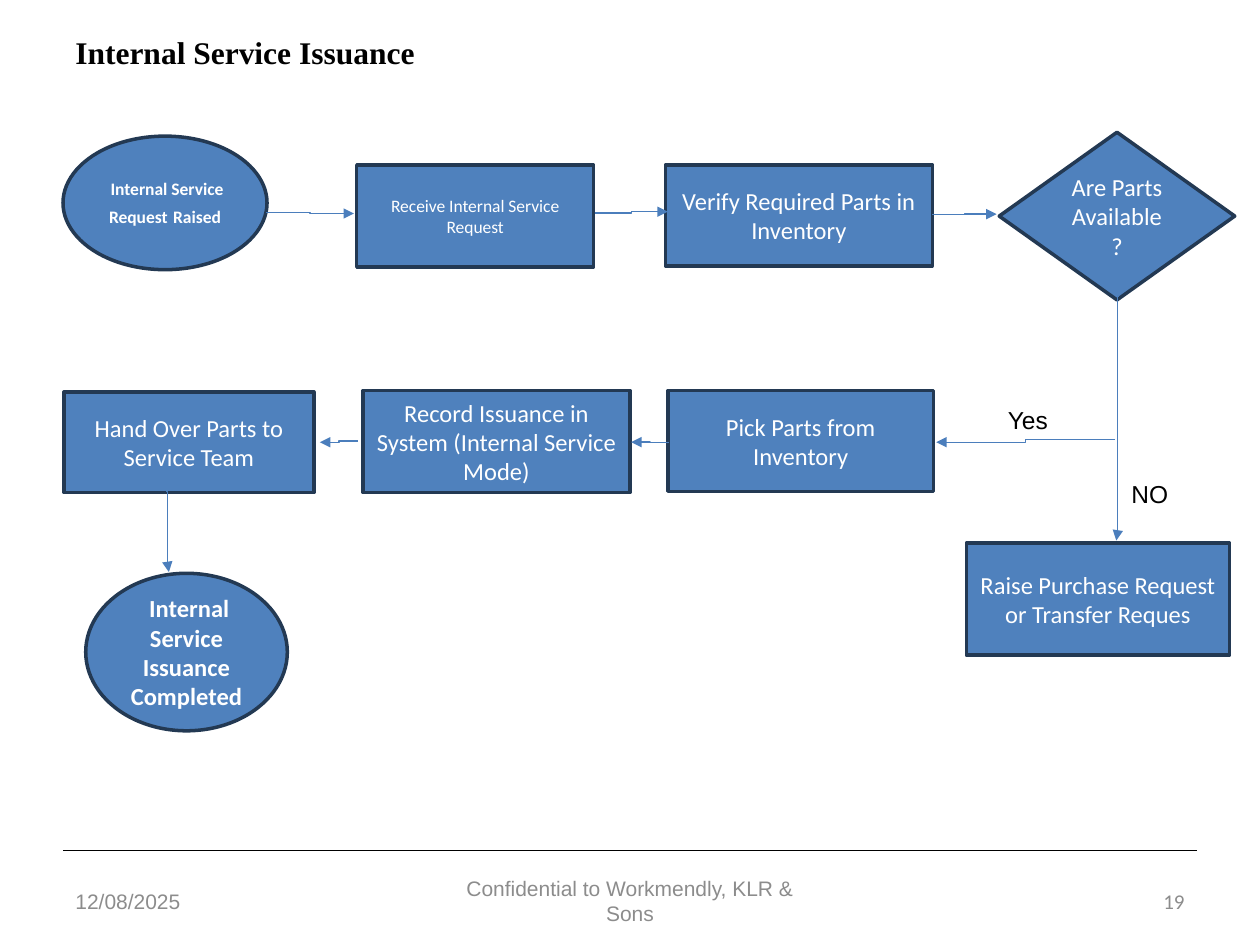
import pptx
import pptx.util
import pptx.dml.color
import pptx.enum.shapes
import pptx.enum.text
import pptx.oxml
import pptx.oxml.ns

Pt = pptx.util.Pt
RGBColor = pptx.dml.color.RGBColor
SHAPE = pptx.enum.shapes.MSO_SHAPE
CONNECTOR = pptx.enum.shapes.MSO_CONNECTOR
ALIGN = pptx.enum.text.PP_ALIGN
ANCHOR = pptx.enum.text.MSO_ANCHOR
qn = pptx.oxml.ns.qn

BLUE = RGBColor(0x4F, 0x81, 0xBD)
NAVY = RGBColor(0x23, 0x39, 0x53)
ARROW = RGBColor(0x4B, 0x7E, 0xBC)
WHITE = RGBColor(0xFF, 0xFF, 0xFF)
BLACK = RGBColor(0, 0, 0)
GREY = RGBColor(0x8C, 0x8C, 0x8C)


class Flowchart:
    body_font = "Calibri"
    label_font = "Arial"

    def __init__(self, slide):
        self.s = slide

    def add_runs(self, sp, runs, font, color, align, anchor, bold=False):
        tf = sp.text_frame
        tf.word_wrap = True
        tf.vertical_anchor = anchor
        p = tf.paragraphs[0]
        p.alignment = align
        for text, size in runs:
            r = p.add_run()
            r.text = text
            r.font.size = Pt(size)
            r.font.name = font
            r.font.bold = bold
            r.font.color.rgb = color

    def node(self, kind, box, runs, bold=False):
        sp = self.s.shapes.add_shape(kind, *map(Pt, box))
        sp.shadow.inherit = False
        sp.fill.solid()
        sp.fill.fore_color.rgb = BLUE
        sp.line.color.rgb = NAVY
        sp.line.width = Pt(2)
        self.add_runs(sp, runs, self.body_font, WHITE, ALIGN.CENTER, ANCHOR.MIDDLE, bold)

    def label(self, box, text, size, color=BLACK, font=label_font,
              align=ALIGN.LEFT, anchor=ANCHOR.TOP, bold=False):
        sp = self.s.shapes.add_textbox(*map(Pt, box))
        self.add_runs(sp, [(text, size)], font, color, align, anchor, bold)

    def line(self, kind, ends, color):
        sp = self.s.shapes.add_connector(kind, *map(Pt, ends))
        sp.line.color.rgb = color
        sp.line.width = Pt(0.75)
        sp_pr = sp._element.spPr
        sp_pr.append(sp_pr.makeelement(qn("a:effectLst"), {}))
        return sp

    def arrow(self, ends):
        sp = self.line(CONNECTOR.ELBOW, ends, ARROW)
        ln = sp._element.spPr.find(qn("a:ln"))
        ln.append(ln.makeelement(qn("a:tailEnd"), {"type": "triangle"}))


def main():
    prs = pptx.Presentation()
    prs.slide_width, prs.slide_height = Pt(720), Pt(540)
    chart = Flowchart(prs.slides.add_slide(prs.slide_layouts[6]))

    chart.line(CONNECTOR.STRAIGHT, (36, 486, 684, 486), BLACK)
    footer = [
        (36, 168, "12/08/2025", ALIGN.LEFT, "Arial"),
        (246, 228, "Confidential to Workmendly, KLR & Sons", ALIGN.CENTER, "Arial"),
        (516, 168, "19", ALIGN.RIGHT, "Calibri"),
    ]
    for x, w, text, align, font in footer:
        chart.label((x, 500.4, w, 28.8), text, 12, GREY, font, align, ANCHOR.MIDDLE)

    chart.node(SHAPE.OVAL, (36, 77.8, 116.6, 76.3),
               [(" Internal Service Request", 10), (" ", 14), ("Raised", 10)], True)
    chart.node(SHAPE.OVAL, (49, 327.6, 115.2, 90),
               [(" Internal Service Issuance Completed", 14)], True)
    chart.node(SHAPE.DIAMOND, (571, 75.6, 134.6, 95.8), [("Are Parts Available?", 14)])

    steps = [
        ((203.8, 94.3, 135.4, 58.3), "Receive Internal Service Request", 10),
        ((380.2, 94.3, 152.6, 57.6), "Verify Required Parts in Inventory", 14),
        ((381.6, 223.2, 151.9, 57.6), "Pick Parts from Inventory", 14),
        ((207.4, 223.2, 152.6, 58.3), "Record Issuance in System (Internal Service Mode)", 14),
        ((36.7, 223.9, 142.6, 57.6), "Hand Over Parts to Service Team", 14),
        ((552.2, 310.3, 150.5, 64.1), "Raise Purchase Request or Transfer Reques", 14),
    ]
    for box, text, size in steps:
        chart.node(SHAPE.RECTANGLE, box, [(text, size)])

    arrows = [
        (152, 121.3, 202.3, 122),
        (339.8, 121.7, 381.6, 121),
        (532.8, 122.8, 569.5, 122.4),
        (639.4, 169.2, 637.9, 308.9),
        (637.2, 251.3, 535, 252.7),
        (382.3, 253.1, 360.7, 252.7),
        (204.5, 252, 182.9, 252.7),
        (95, 280.8, 96.5, 326.9),
    ]
    for ends in arrows:
        chart.arrow(ends)

    chart.label((639.4, 270, 72, 41), "NO", 14)
    chart.label((568.8, 228.2, 72, 41), "Yes", 14)
    chart.label((36, 15.1, 216, 28.8), "Internal Service Issuance", 18,
                font="Times New Roman", bold=True)

    prs.save("out.pptx")


if __name__ == "__main__":
    main()
